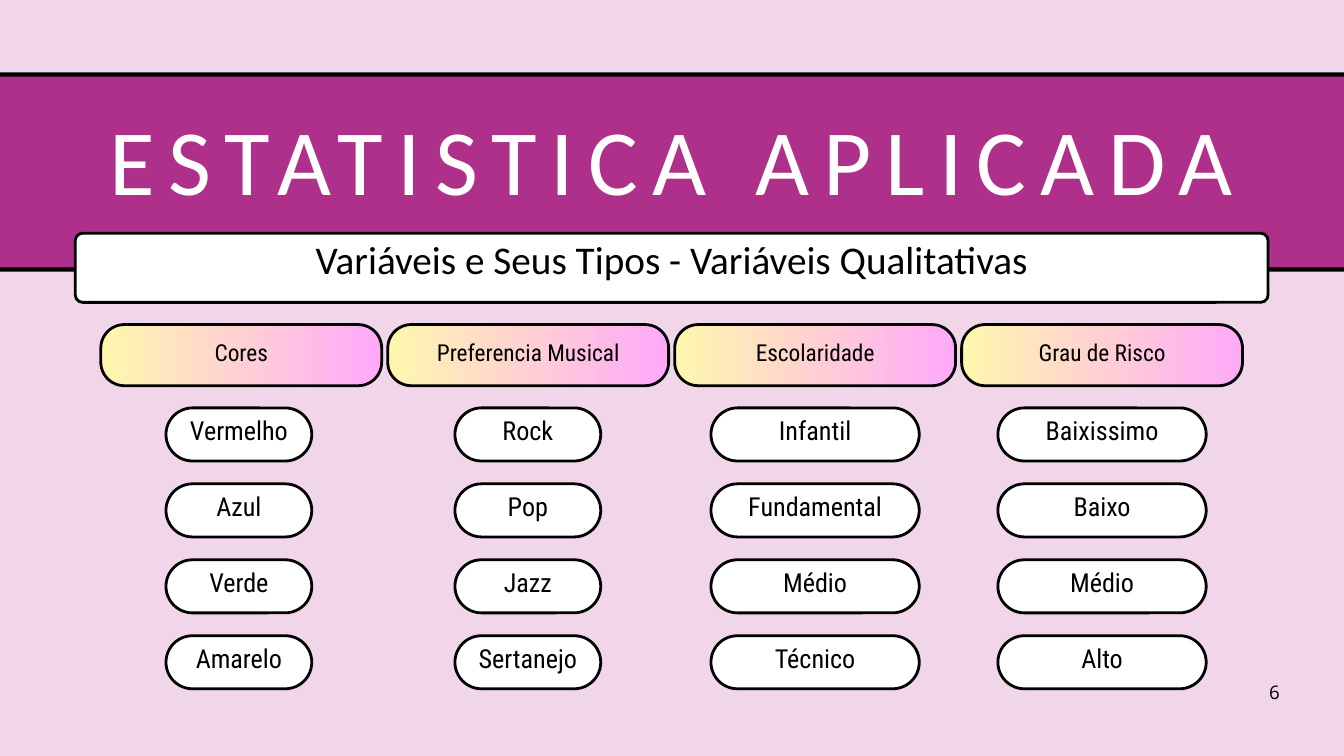
from dataclasses import dataclass
from typing import NamedTuple

import pptx
import pptx.dml.color
import pptx.enum.shapes
import pptx.enum.text
import pptx.util

Inches = pptx.util.Inches
Pt = pptx.util.Pt


class TextStyle(NamedTuple):
    font: str
    size: float
    color: str = "000000"
    spacing: float = 0


@dataclass(frozen=True)
class Theme:
    background: str = "F1D5E9"
    band: str = "AF308B"
    box: tuple[str, ...] = ("FFFFFF",)
    header: tuple[str, ...] = ("FFF7AD", "FFA9F9")
    outline: str = "000000"
    outline_width: float = 3
    band_outline_width: float = 4.5
    line_height: float = 1.4
    title_text: TextStyle = TextStyle("Calibri", 100, "FFFFFF", 15.2)
    subtitle_text: TextStyle = TextStyle("Calibri", 42)
    header_text: TextStyle = TextStyle("Roboto Condensed", 25)
    value_text: TextStyle = TextStyle("Roboto Condensed", 28)
    number_text: TextStyle = TextStyle("Open Sans", 20)


class Box(NamedTuple):
    left: float
    top: float
    width: float
    height: float


class Variable(NamedTuple):
    name: str
    value_left: float
    value_width: float
    values: tuple[str, ...]


THEME = Theme()
VARIABLES = (
    Variable("Cores", 2.47, 2.17, ("Vermelho", "Azul", "Verde", "Amarelo")),
    Variable("Preferencia Musical", 6.77, 2.17, ("Rock", "Pop", "Jazz", "Sertanejo")),
    Variable("Escolaridade", 10.58, 3.1, ("Infantil", "Fundamental", "Médio", "Técnico")),
    Variable("Grau de Risco", 14.85, 3.1, ("Baixissimo", "Baixo", "Médio", "Alto")),
)
HEADER_LEFT, HEADER_PITCH = 1.5, 4.27
VALUE_TOP, VALUE_PITCH = 6.07, 1.13


def rgb(color: str) -> pptx.dml.color.RGBColor:
    return pptx.dml.color.RGBColor.from_string(color)


def place(shape, box: Box) -> None:
    shape.left, shape.top, shape.width, shape.height = map(Inches, box)


def write(shape, text: str, style: TextStyle, margin: float = 0, middle: bool = False,
          wrap: bool = True) -> None:
    """Fill a shape with one centred line of text."""
    frame = shape.text_frame
    frame.text = text
    frame.word_wrap = wrap
    frame.auto_size = pptx.enum.text.MSO_AUTO_SIZE.NONE
    anchors = pptx.enum.text.MSO_ANCHOR
    frame.vertical_anchor = anchors.MIDDLE if middle else anchors.TOP
    frame.margin_left = frame.margin_right = Inches(margin)
    frame.margin_top = frame.margin_bottom = Inches(margin)
    paragraph = frame.paragraphs[0]
    paragraph.alignment = pptx.enum.text.PP_ALIGN.CENTER
    paragraph.line_spacing = Pt(style.size * THEME.line_height)
    font = paragraph.runs[0].font
    font.name, font.size = style.font, Pt(style.size)
    font.color.rgb = rgb(style.color)
    if style.spacing:
        paragraph.runs[0]._r.get_or_add_rPr().set("spc", str(round(style.spacing * 100)))


def add_rounded_box(slide, box: Box, radius: float, colors: tuple[str, ...],
                    line_width: float = THEME.outline_width) -> None:
    """Draw an outlined box; two colours make a left-to-right gradient."""
    shape = slide.shapes.add_shape(
        pptx.enum.shapes.MSO_SHAPE.ROUNDED_RECTANGLE, *map(Inches, box))
    shape.adjustments[0] = radius / box.height
    shape.shadow.inherit = False
    if len(colors) == 1:
        shape.fill.solid()
        shape.fill.fore_color.rgb = rgb(colors[0])
    else:
        shape.fill.gradient()
        shape.fill.gradient_angle = 0
        for stop, color in zip(shape.fill.gradient_stops, colors):
            stop.color.rgb = rgb(color)
    shape.line.color.rgb = rgb(THEME.outline)
    shape.line.width = Pt(line_width)


def add_label(slide, box: Box, rise: float, text: str, style: TextStyle) -> None:
    """Centre text over a box, in an area that starts `rise` above it."""
    area = Box(box.left, box.top - rise, box.width, box.height + rise)
    label = slide.shapes.add_textbox(*map(Inches, area))
    write(label, text, style, margin=0.06, middle=True)


def add_variable(slide, index: int, variable: Variable) -> None:
    header = Box(HEADER_LEFT + index * HEADER_PITCH, 4.83, 4.18, 0.91)
    add_rounded_box(slide, header, 0.35, THEME.header)
    add_label(slide, header, 0.15, variable.name, THEME.header_text)
    for row, value in enumerate(variable.values):
        pill = Box(variable.value_left, VALUE_TOP + row * VALUE_PITCH,
                   variable.value_width, 0.79)
        add_rounded_box(slide, pill, pill.height / 2, THEME.box)
        add_label(slide, pill, 0.2, value, THEME.value_text)


def main() -> None:
    presentation = pptx.Presentation()
    presentation.slide_width, presentation.slide_height = Inches(20), Inches(11.25)
    slide = presentation.slides.add_slide(presentation.slide_layouts[5])
    slide.background.fill.solid()
    slide.background.fill.fore_color.rgb = rgb(THEME.background)

    add_rounded_box(slide, Box(-1.43, 1.11, 22.78, 2.9), 0.08, (THEME.band,),
                    THEME.band_outline_width)
    subtitle = Box(1.12, 3.47, 17.75, 1.03)
    add_rounded_box(slide, subtitle, 0.11, THEME.box)
    add_label(slide, subtitle, 0.38, "Variáveis e Seus Tipos - Variáveis Qualitativas",
              THEME.subtitle_text)
    for index, variable in enumerate(VARIABLES):
        add_variable(slide, index, variable)

    title = slide.shapes.title
    place(title, Box(0.87, 1.25, 18.27, 1.89))
    write(title, "ESTATISTICA APLICADA", THEME.title_text)
    slide.shapes._spTree.append(title._element)  # bring in front of the band

    number = slide.shapes.add_textbox(*map(Inches, Box(18.88, 10.07, 0.17, 0.22)))
    write(number, "6", THEME.number_text, wrap=False)
    presentation.save("out.pptx")


if __name__ == "__main__":
    main()
